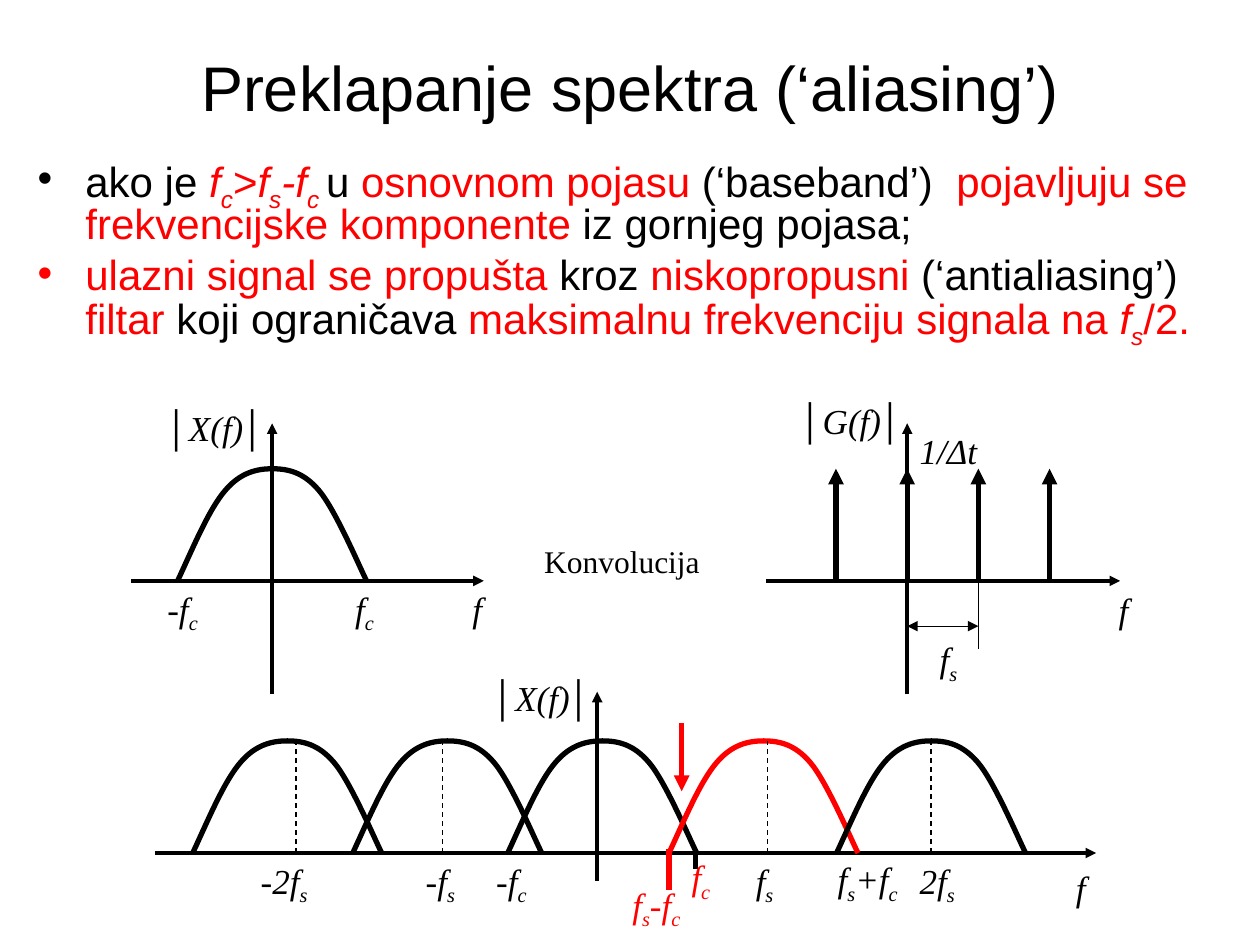
from lxml import etree
from pptx import Presentation
from pptx.dml.color import RGBColor
from pptx.enum import dml, shapes, text
from pptx.oxml import ns
from pptx.util import Inches, Pt

BLACK, RED = "000000", "FF0000"
HUMP = [(0, 0), (0.13, 0.28), (0.25, 0.57), (0.38, 0.72), (0.5, 0.86),
        (0.63, 0.89), (0.75, 0.89), (0.88, 0.89), (1, 0.86), (1.12, 0.72),
        (1.25, 0.57), (1.44, 0.12), (1.5, 0)]


def rgb(value):
    """Return the colour for a hex string."""
    return RGBColor.from_string(value)


def add_el(parent, tag, **attrs):
    """Append a DrawingML child element."""
    return etree.SubElement(parent, ns.qn("a:" + tag), attrs)


def add_text(p, markup, font="Times New Roman", size=20, color=BLACK, italic=False):
    """Add runs to a paragraph; braces enclose a subscript."""
    for i, part in enumerate(markup.replace("}", "{").split("{")):
        if not part:
            continue
        r = p.add_run()
        r.text = part
        r.font.name, r.font.size, r.font.italic = font, Pt(size), italic
        r.font.color.rgb = rgb(color)
        if i % 2:
            r.font._element.set("baseline", "-25000")


def add_label(s, markup, x, y, w=0.56, italic=True, **fmt):
    """Place a one-line label."""
    tf = s.shapes.add_textbox(Inches(x), Inches(y), Inches(w), Inches(0.54)).text_frame
    tf.word_wrap = True
    add_text(tf.paragraphs[0], markup, italic=italic, **fmt)


def add_line(s, x1, y1, x2, y2, width=2, color=BLACK, dash=False, ends=()):
    """Draw a line with arrowheads at the named ends."""
    sp = s.shapes.add_connector(shapes.MSO_CONNECTOR.STRAIGHT,
                                Inches(x1), Inches(y1), Inches(x2), Inches(y2))
    sp.line.width = Pt(width)
    sp.line.color.rgb = rgb(color)
    if dash:
        sp.line.dash_style = dml.MSO_LINE.DASH
    for end in ends:
        add_el(sp.line._get_or_add_ln(), end, type="triangle")
    add_el(sp._element.spPr, "effectLst")


def add_arrow(s, x1, y1, x2, y2, **fmt):
    """Draw a line with an arrowhead at its end."""
    add_line(s, x1, y1, x2, y2, ends=["tailEnd"], **fmt)


def add_hump(s, x, y, color=BLACK):
    """Draw one bell-shaped spectrum whose left foot is at x, y."""
    points = [(Inches(x + dx), Inches(y - dy)) for dx, dy in HUMP]
    builder = s.shapes.build_freeform(*points[0])
    builder.add_line_segments(points[1:], close=False)
    sp = builder.convert_to_shape()
    sp.shadow.inherit = False
    sp.fill.background()
    sp.line.width = Pt(3)
    sp.line.color.rgb = rgb(color)
    segments = list(sp._element.iter(ns.qn("a:lnTo")))
    path = segments[0].getparent()
    for i in range(0, len(segments), 3):
        curve = add_el(path, "cubicBezTo")
        for segment in segments[i:i + 3]:
            curve.append(segment[0])
            path.remove(segment)


def add_title(s, x, y, w, h):
    """Place and format the title."""
    sp = s.shapes.title
    sp.left, sp.top, sp.width, sp.height = map(Inches, (x, y, w, h))
    tf = sp.text_frame
    tf.vertical_anchor = text.MSO_ANCHOR.MIDDLE
    p = tf.paragraphs[0]
    p.alignment = text.PP_ALIGN.CENTER
    add_text(p, "Preklapanje spektra (‘aliasing’)", font="Arial", size=36)


def add_bullets(s, x, y, w, h):
    """Write the two bulleted statements."""
    bullets = [
        (BLACK, [("ako je ", BLACK), ("f{c}", RED, True), (">", RED),
                 ("f{s}-f{c }", RED, True), ("u ", BLACK), ("osnovnom pojasu", RED),
                 (" (‘baseband’) ", BLACK),
                 (" pojavljuju se frekvencijske komponente", RED),
                 (" iz gornjeg pojasa;", BLACK)]),
        (RED, [("ulazni signal se propušta", RED), (" kroz ", BLACK),
               ("niskopropusni ", RED), ("(‘antialiasing’) ", BLACK),
               ("filtar", RED), (" koji ograničava ", BLACK),
               ("maksimalnu frekvenciju signala na ", RED),
               ("f{s}", RED, True), ("/2.", RED)]),
    ]
    tf = s.shapes.add_textbox(Inches(x), Inches(y), Inches(w), Inches(h)).text_frame
    tf.word_wrap = True
    for i, (mark, runs) in enumerate(bullets):
        p = tf.add_paragraph() if i else tf.paragraphs[0]
        pPr = p._p.get_or_add_pPr()
        pPr.set("marL", str(Inches(0.38)))
        pPr.set("indent", str(-Inches(0.38)))
        add_el(add_el(pPr, "buClr"), "srgbClr", val=mark)
        add_el(pPr, "buFont", typeface="Arial")
        add_el(pPr, "buChar", char="•")
        p.line_spacing = 0.8
        p.space_before = Pt(6 if i else 0)
        for markup, color, *italic in runs:
            add_text(p, markup, font="Arial", size=24, color=color, italic=bool(italic))


def add_signal(s, x, y):
    """Draw the signal spectrum around the axis crossing x, y."""
    add_arrow(s, x, y + 0.9, x, y - 1.25)
    add_arrow(s, x - 1.12, y, x + 1.68, y)
    add_hump(s, x - 0.75, y)
    add_label(s, "│X(f)│", x - 0.93, y - 1.43, 1.12)
    for markup, dx in [("-f{c}", -0.93), ("f{c}", 0.56), ("f", 1.49)]:
        add_label(s, markup, x + dx, y)


def add_sampling(s, x, y, step=0.565):
    """Draw the sampling spectrum around the axis crossing x, y."""
    add_arrow(s, x - 1.12, y, x + 1.69, y)
    add_arrow(s, x, y + 0.9, x, y - 1.25)
    for n in range(-1, 3):
        add_arrow(s, x + n * step, y, x + n * step, y - 0.89, width=3)
    add_line(s, x + step, y, x + step, y + 0.54, width=0.75)
    add_line(s, x, y + 0.36, x + step, y + 0.36, width=0.75, ends=["headEnd", "tailEnd"])
    add_label(s, "1/Δt", x, y - 1.25, 0.93)
    add_label(s, "f{s}", x + 0.16, y + 0.4)
    add_label(s, "f", x + 1.58, y + 0.01)
    add_label(s, "│G(f)│", x - 0.94, y - 1.49, 1.12)


def add_overlap(s, x, y):
    """Draw the overlapping spectra around the axis crossing x, y."""
    add_arrow(s, x - 3.51, y, x + 3.96, y)
    for dx, color in [(-0.71, BLACK), (0.57, RED), (1.9, BLACK),
                      (-1.94, BLACK), (-3.21, BLACK)]:
        add_hump(s, x + dx, y, color)
    for dx in (-2.39, -1.23, 1.35, 2.65):
        add_line(s, x + dx, y, x + dx, y - 0.89, width=0.75, dash=True)
    add_arrow(s, x, y + 0.22, x, y - 1.28)
    add_arrow(s, x + 0.67, y - 1.03, x + 0.67, y - 0.49, width=3, color=RED)
    add_line(s, x + 0.78, y - 0.03, x + 0.78, y + 0.13, width=3)
    add_line(s, x + 0.57, y - 0.03, x + 0.57, y + 0.29, width=3, color=RED)
    for markup, dx, dy, w, color in [
            ("│X(f)│", -0.92, -1.45, 1.12, BLACK), ("-2f{s}", -2.77, 0, 0.75, BLACK),
            ("-f{s}", -1.46, 0, 0.75, BLACK), ("-f{c}", -0.9, 0, 0.56, BLACK),
            ("f{c}", 0.65, -0.03, 0.56, RED), ("f{s}-f{c}", 0.18, 0.19, 0.94, RED),
            ("f{s}", 1.16, 0, 0.56, BLACK), ("f{s}+f{c}", 1.81, -0.01, 0.93, BLACK),
            ("2f{s}", 2.46, 0, 0.75, BLACK), ("f", 3.7, 0.06, 0.56, BLACK)]:
        add_label(s, markup, x + dx, y + dy, w, color=color)


def main():
    """Build and save the slide."""
    prs = Presentation()
    prs.slide_width, prs.slide_height = Inches(10), Inches(7.5)
    s = prs.slides.add_slide(prs.slide_layouts[5])
    add_title(s, 0.5, 0.3, 9, 0.77)
    add_bullets(s, 0.2, 1.23, 9.8, 1.65)
    add_signal(s, 2.16, 4.61)
    add_label(s, "Konvolucija", 4.22, 4.25, 1.68, italic=False, size=18)
    add_sampling(s, 7.2, 4.61)
    add_overlap(s, 4.74, 6.77)
    prs.save("out.pptx")


if __name__ == "__main__":
    main()
